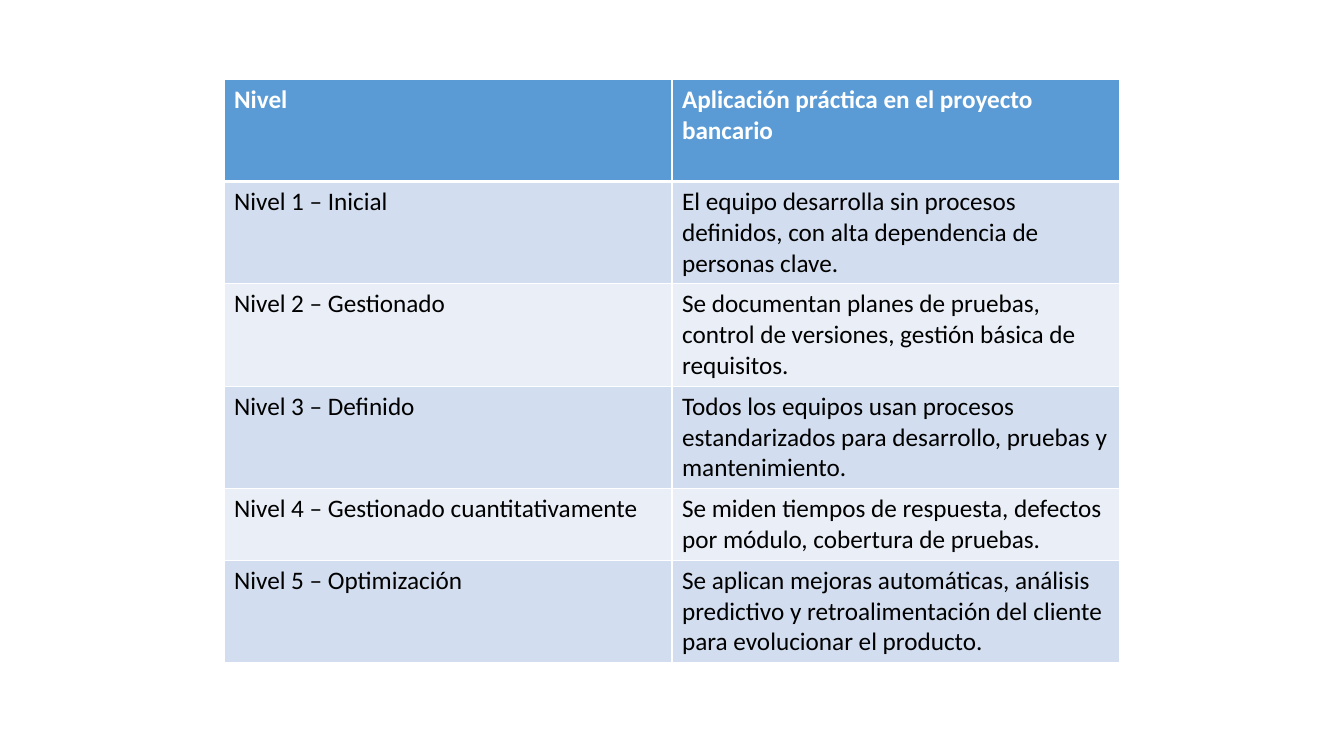
from lxml import etree
from pptx import Presentation
from pptx import util as u
from pptx.dml.color import RGBColor
from pptx.oxml.ns import qn

THEME = {
    "font": "Calibri", "size": 18,
    "header": "5B9BD5", "bands": ("D2DEEF", "EAEFF7"),
    "header_text": "FFFFFF", "body_text": "000000",
    "border": "FFFFFF", "thin": 1, "thick": 3,
}

# Each row: level, practice, lines of text it has room for
LEVELS = [
    ("Nivel", "Aplicación práctica en el proyecto bancario", 3),
    ("Nivel 1 – Inicial",
     "El equipo desarrolla sin procesos definidos, con alta dependencia de personas clave.", 3),
    ("Nivel 2 – Gestionado",
     "Se documentan planes de pruebas, control de versiones, gestión básica de requisitos.", 3),
    ("Nivel 3 – Definido",
     "Todos los equipos usan procesos estandarizados para desarrollo, pruebas y mantenimiento.", 3),
    ("Nivel 4 – Gestionado cuantitativamente",
     "Se miden tiempos de respuesta, defectos por módulo, cobertura de pruebas.", 2),
    ("Nivel 5 – Optimización",
     "Se aplican mejoras automáticas, análisis predictivo y retroalimentación del cliente "
     "para evolucionar el producto.", 3),
]


def write(cell, content, *, color, bold=False):
    para = cell.text_frame.paragraphs[0]
    span = para.add_run()
    span.text = content
    span.font.name = THEME["font"]
    span.font.size = u.Pt(THEME["size"])
    span.font.bold = bold
    span.font.color.rgb = RGBColor.from_string(color)


def draw_border(cell, side, points):
    line = etree.SubElement(cell._tc.get_or_add_tcPr(), qn(f"a:{side}"), w=str(u.Pt(points)))
    solid = etree.SubElement(line, qn("a:solidFill"))
    etree.SubElement(solid, qn("a:srgbClr"), val=THEME["border"])


# Slide
deck = Presentation()
deck.slide_width, deck.slide_height = u.Inches(13.33), u.Inches(7.5)
page = deck.slides.add_slide(deck.slide_layouts[6])

# Table: two thirds of the slide wide, centred
heights = [u.Inches(0.11 + 0.3 * lines) for *_, lines in LEVELS]
table = page.shapes.add_table(
    len(LEVELS), 2, deck.slide_width // 6, u.Inches(0.79),
    deck.slide_width * 2 // 3, sum(heights)).table

# Rows: header first, then alternating bands
for index, (level, practice, _) in enumerate(LEVELS):
    header = index == 0
    table.rows[index].height = heights[index]
    fill = THEME["header"] if header else THEME["bands"][(index - 1) % 2]
    for column, content in enumerate((level, practice)):
        cell = table.cell(index, column)
        write(cell, content, bold=header,
              color=THEME["header_text" if header else "body_text"])
        for side in ("lnL", "lnR", "lnT", "lnB"):
            under_header = (index, side) in ((0, "lnB"), (1, "lnT"))
            draw_border(cell, side, THEME["thick" if under_header else "thin"])
        cell.fill.solid()
        cell.fill.fore_color.rgb = RGBColor.from_string(fill)

deck.save("out.pptx")
